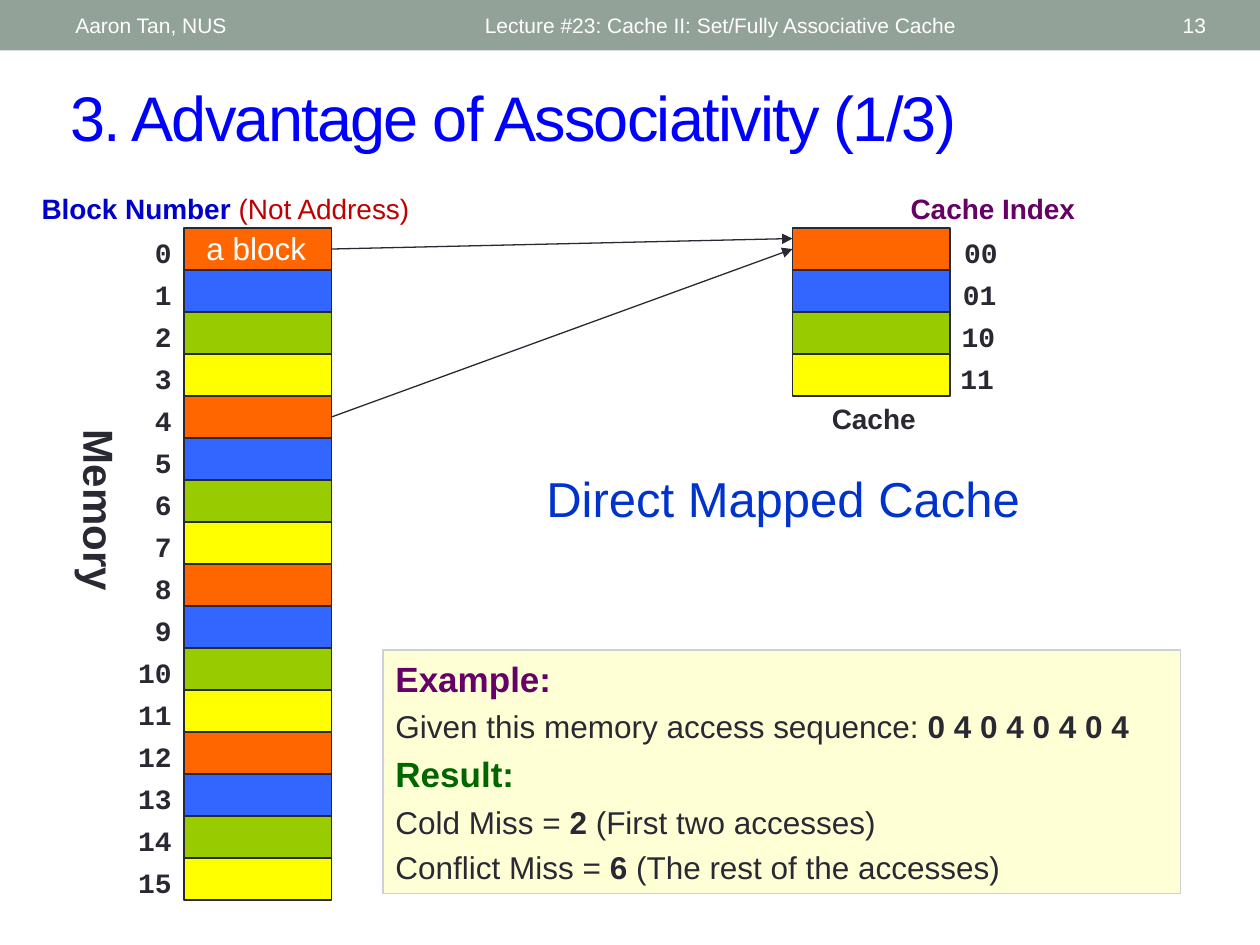
from lxml.etree import SubElement
from pptx import Presentation
from pptx.dml.color import RGBColor
from pptx.enum.shapes import MSO_CONNECTOR, MSO_SHAPE
from pptx.enum.text import MSO_ANCHOR, PP_ALIGN
from pptx.oxml.ns import qn
from pptx.util import Inches, Pt

HUES = {
    "ink": "292934", "white": "FFFFFF", "bar": "93A299", "title": "0000FF",
    "navy": "0000CC", "red": "C00000", "plum": "660066", "green": "006600",
    "blue": "0033CC", "cream": "FFFFCC", "edge": "CCD1D9",
}
SETS = ["FF6600", "3366FF", "99CC00", "FFFF00"]
INDEX = ["00", "01", "10", "11"]
BLOCKS = 16
TOP, ROW = 1.81, 1 / 3
MEM = (1.46, 1.17)    # left, width of the memory column
CACHE = (6.29, 1.25)  # left, width of the cache column

# A paragraph is (size, hue, runs); a run is (text, bold[, hue]).
NOTES = [
    (20, "plum", [("Example:", True)]),
    (18, "ink", [("Given this memory access sequence: ", False),
                 ("0 4 0 4 0 4 0 4", True)]),
    (20, "green", [("Result:", True)]),
    (18, "ink", [("Cold Miss = ", False), ("2", True),
                 (" (First two accesses)", False)]),
    (18, "ink", [("Conflict Miss = ", False), ("6", True),
                 (" (The rest of the accesses)", False)]),
]
HEAD = [(16, "navy", [("Block Number ", True),
                      ("(Not Address) ", False, "red")])]

# Text, box, size, hue, bold, alignment, anchor
LEFT, MID, RIGHT = PP_ALIGN.LEFT, PP_ALIGN.CENTER, PP_ALIGN.RIGHT
HIGH, HALF = MSO_ANCHOR.TOP, MSO_ANCHOR.MIDDLE
LABELS = [
    ("Lecture #23: Cache II: Set/Fully Associative Cache",
     (3.75, 0.02, 4.5, 0.36), 12, "white", False, LEFT, HALF),
    ("Aaron Tan, NUS", (0.5, 0.02, 3.17, 0.36), 12, "white", False, LEFT, HALF),
    ("13", (8.72, 0.02, 0.95, 0.36), 12, "white", False, RIGHT, HALF),
    ("Cache Index", (7.12, 1.47, 1.52, 0.37), 16, "plum", True, MID, HIGH),
    ("Cache", (6.5, 3.14, 0.87, 0.37), 16, "ink", True, MID, HIGH),
    ("Direct Mapped Cache", (4.13, 3.67, 4.17, 0.57), 28, "blue", False, MID, HIGH),
    ("a block", (1.54, 1.77, 1, 0.4), 18, "white", False, LEFT, HIGH),
]

deck = Presentation()
deck.slide_width, deck.slide_height = Inches(10), Inches(7.5)
slide = deck.slides.add_slide(deck.slide_layouts[6])
shapes = slide.shapes


def rgb(hue):
    return RGBColor.from_string(HUES.get(hue, hue))


def rect(box, fill, line=None, alpha=None):
    """Add a flat rectangle; alpha is its opacity in percent."""
    shape = shapes.add_shape(MSO_SHAPE.RECTANGLE, *map(Inches, box))
    shape.shadow.inherit = False
    shape.fill.solid()
    shape.fill.fore_color.rgb = rgb(fill)
    if alpha:
        tint = shape.fill._xPr.find(qn("a:solidFill"))[0]
        SubElement(tint, qn("a:alpha"), val=str(alpha * 1000))
    if line:
        shape.line.color.rgb = rgb(line)
        shape.line.width = Pt(0.75)
    else:
        shape.line.fill.background()
    return shape


def write(shape, paras, align=LEFT, anchor=HIGH, face="Arial", wrap=True, gap=0):
    frame = shape.text_frame
    frame.word_wrap, frame.vertical_anchor = wrap, anchor
    for i, (size, hue, runs) in enumerate(paras):
        para = frame.add_paragraph() if i else frame.paragraphs[0]
        para.alignment = align
        if i:
            para.space_before = Pt(gap)
        para.font.name, para.font.size = face, Pt(size)
        para.font.color.rgb = rgb(hue)
        for text, bold, *tint in runs:
            run = para.add_run()
            run.text, run.font.bold = text, bold
            if tint:
                run.font.color.rgb = rgb(tint[0])
    return shape


def label(text, box, size, hue, bold, align, anchor=HIGH, **opts):
    spot = shapes.add_textbox(*map(Inches, box))
    return write(spot, [(size, hue, [(text, bold)])], align, anchor, **opts)


def stack(left, width, count):
    """Add a column of blocks whose colours cycle through the sets."""
    return [rect((left, TOP + i * ROW, width, ROW), SETS[i % len(SETS)], "ink")
            for i in range(count)]


def arrow(start, cell, end=None):
    """Link a block to a cache cell, or to a free point given as end."""
    x, y = end or (CACHE[0], TOP + ROW / 2)
    line = shapes.add_connector(MSO_CONNECTOR.STRAIGHT, 0, 0, Inches(x), Inches(y))
    line.begin_connect(start, 3)
    if not end:
        line.end_connect(cell, 1)
    line.line.color.rgb = rgb("ink")
    line.line.width = Pt(0.75)
    SubElement(line.line._get_or_add_ln(), qn("a:tailEnd"), type="triangle")
    SubElement(line._element.spPr, qn("a:effectLst"))


rect((0, 0, 10, 0.4), "bar")
title = label("3. Advantage of Associativity (1/3)", (0.46, 0.57, 9.21, 0.7),
              36, "title", False, LEFT, HALF)
title.text_frame.paragraphs[0].runs[0].font._element.set("spc", "-100")

blocks = stack(*MEM, BLOCKS)
cells = stack(*CACHE, len(SETS))
for i in range(BLOCKS):
    label(str(i), (0.88, TOP + 0.01 + i * ROW, 0.58, 0.37), 16, "ink", True,
          RIGHT, face="Courier New")
for i, code in enumerate(INDEX):
    label(code, (7.55 - 0.01 * i, TOP + 0.01 + i * ROW, 0.47, 0.37), 16, "ink",
          True, MID, face="Courier New", wrap=False)

arrow(blocks[0], cells[0], (CACHE[0], TOP + ROW / 4))
arrow(blocks[4], cells[0])

write(shapes.add_textbox(*map(Inches, (0.21, 1.47, 3.22, 0.37))), HEAD, MID,
      wrap=False)
write(rect((3.04, 5.16, 6.33, 1.93), "cream", "edge", 80), NOTES,
      anchor=HALF, gap=4.5)
side = write(rect((0.05, 3.8, 1.49, 0.5), "white", alpha=70),
             [(24, "ink", [("Memory", True)])], MID, wrap=False)
side.rotation = 90
for item in LABELS:
    label(*item)

deck.save("out.pptx")
